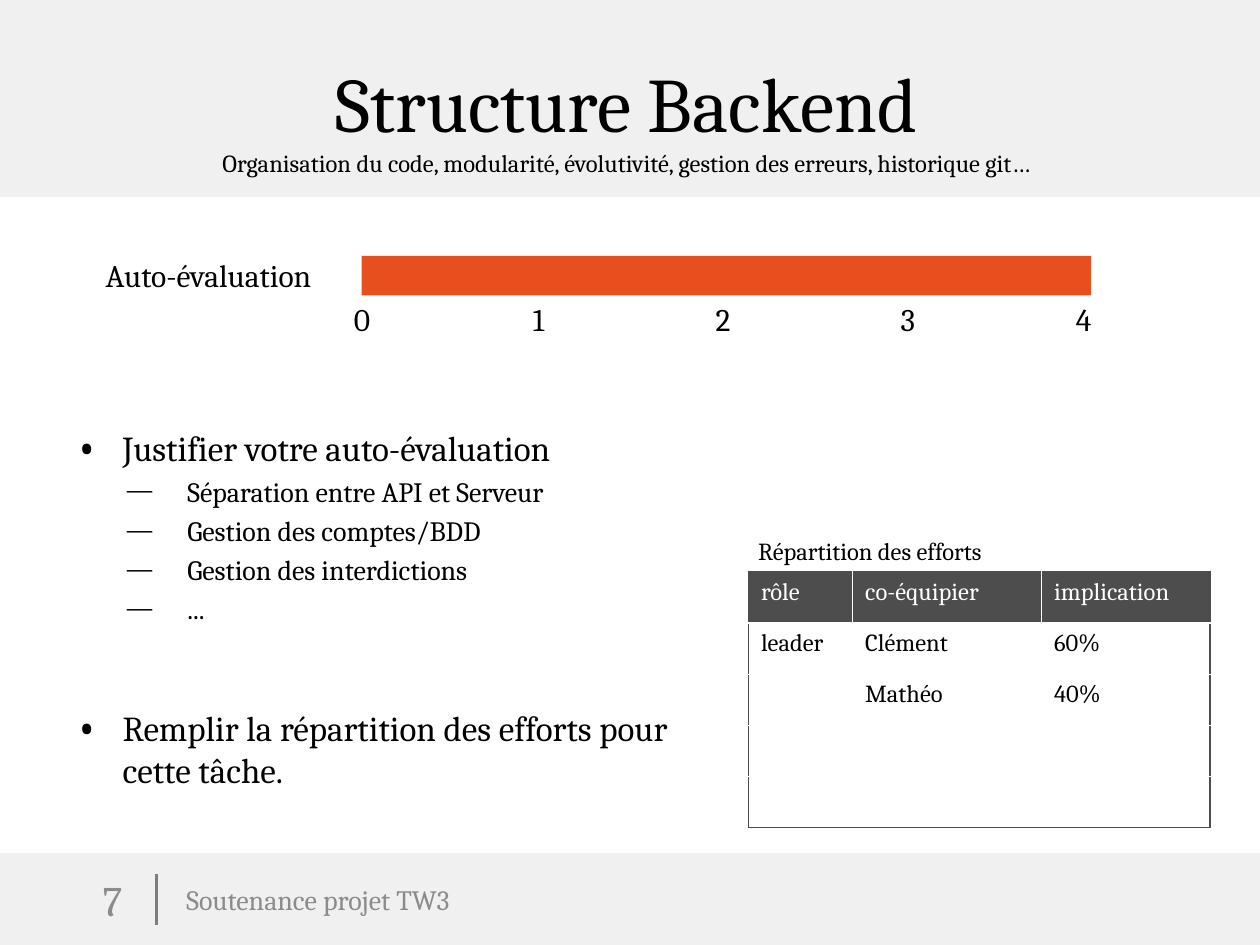
from dataclasses import dataclass

from lxml.etree import SubElement
from pptx import Presentation
from pptx.dml.color import RGBColor
from pptx.enum.shapes import MSO_CONNECTOR, MSO_SHAPE
from pptx.enum.text import MSO_ANCHOR, PP_ALIGN
from pptx.oxml.ns import qn
from pptx.slide import Slide
from pptx.table import _Cell
from pptx.text.text import TextFrame, _Paragraph
from pptx.util import Pt

FONT = "Cambria"
BLACK = RGBColor(0x00, 0x00, 0x00)
WHITE = RGBColor(0xFF, 0xFF, 0xFF)
BAND = RGBColor(0xF0, 0xF0, 0xF0)
ORANGE = RGBColor(0xE7, 0x50, 0x1E)
HEADER = RGBColor(0x4D, 0x4D, 0x4D)
RULE = RGBColor(0x7D, 0x7D, 0x7D)
FOOTER = RGBColor(0x8B, 0x8B, 0x8B)


@dataclass(frozen=True)
class Box:
    left: float
    top: float
    width: float
    height: float

    def lengths(self) -> tuple[Pt, Pt, Pt, Pt]:
        return Pt(self.left), Pt(self.top), Pt(self.width), Pt(self.height)


@dataclass(frozen=True)
class Level:
    size: float
    indent: float
    hanging: float
    bullet: str
    bullet_percent: int


@dataclass(frozen=True)
class Point:
    text: str
    level: Level
    space_before: float


@dataclass(frozen=True)
class Label:
    text: str
    box: Box
    size: float
    color: RGBColor = BLACK
    align: PP_ALIGN = PP_ALIGN.LEFT
    anchor: MSO_ANCHOR = MSO_ANCHOR.TOP


MAIN = Level(20, 27, 27, "•", 150)
DETAIL = Level(16, 64, 35.3, "—", 100)

POINTS = [
    Point("Justifier votre auto-évaluation", MAIN, 24),
    Point("Séparation entre API et Serveur", DETAIL, 3.2),
    Point("Gestion des comptes/BDD", DETAIL, 3.2),
    Point("Gestion des interdictions", DETAIL, 3.2),
    Point("...", DETAIL, 3.2),
    Point("Remplir la répartition des efforts pour cette tâche.", MAIN, 46.5),
]

SCALE_LEFTS = [195.1, 297.4, 401.8, 507.6, 607.7]

LABELS = [
    Label("Auto-évaluation", Box(53.3, 143, 164.2, 28.8), 18),
    *(Label(str(mark), Box(left, 167.8, 22.3, 28.8), 18)
      for mark, left in enumerate(SCALE_LEFTS)),
    Label("Répartition des efforts", Box(426.2, 302.6, 160, 23.8), 14),
    Label("Soutenance projet TW3", Box(99.4, 499.7, 351.4, 28.8), 16, FOOTER,
          anchor=MSO_ANCHOR.MIDDLE),
    Label("7", Box(14.4, 499.7, 62.6, 28.8), 24, FOOTER, PP_ALIGN.RIGHT,
          MSO_ANCHOR.MIDDLE),
]

EFFORTS = [
    ("rôle", "co-équipier", "implication"),
    ("leader", "Clément", "60%"),
    ("", "Mathéo", "40%"),
    ("", "", ""),
    ("", "", ""),
]
EFFORT_WIDTHS = [59.5, 108, 96.2]
EFFORT_ROW = 29.2


def add_run(paragraph: _Paragraph, text: str, size: float, color: RGBColor) -> None:
    run = paragraph.add_run()
    run.text = text
    run.font.name = FONT
    run.font.size = Pt(size)
    run.font.color.rgb = color


def add_frame(slide: Slide, box: Box, anchor: MSO_ANCHOR) -> TextFrame:
    frame = slide.shapes.add_textbox(*box.lengths()).text_frame
    frame.word_wrap = True
    frame.vertical_anchor = anchor
    return frame


def add_label(slide: Slide, label: Label) -> None:
    paragraph = add_frame(slide, label.box, label.anchor).paragraphs[0]
    paragraph.alignment = label.align
    add_run(paragraph, label.text, label.size, label.color)


def add_bar(slide: Slide, box: Box, color: RGBColor, outline: float = 0) -> None:
    bar = slide.shapes.add_shape(MSO_SHAPE.RECTANGLE, *box.lengths())
    bar.shadow.inherit = False
    bar.fill.solid()
    bar.fill.fore_color.rgb = color
    if outline:
        bar.line.color.rgb = color
        bar.line.width = Pt(outline)
    else:
        bar.line.fill.background()


def add_footer_rule(slide: Slide) -> None:
    rule = slide.shapes.add_connector(
        MSO_CONNECTOR.STRAIGHT, Pt(89.3), Pt(499.7), Pt(89.3), Pt(528.5))
    rule.line.color.rgb = RULE
    rule.line.width = Pt(1.5)
    SubElement(rule._element.spPr, qn("a:effectLst"))


def add_title(slide: Slide) -> None:
    frame = add_frame(slide, Box(32.4, 21.6, 651.6, 90), MSO_ANCHOR.MIDDLE)
    paragraph = frame.paragraphs[0]
    paragraph.alignment = PP_ALIGN.CENTER
    paragraph.space_before = Pt(10.6)
    add_run(paragraph, "Structure Backend", 44, BLACK)
    paragraph.add_line_break()
    add_run(paragraph, "Organisation du code, modularité, évolutivité, "
            "gestion des erreurs, historique git…", 14, BLACK)


def add_points(slide: Slide) -> None:
    frame = add_frame(slide, Box(36, 213.1, 380.9, 269.3), MSO_ANCHOR.MIDDLE)
    for index, point in enumerate(POINTS):
        paragraph = frame.add_paragraph() if index else frame.paragraphs[0]
        level = point.level
        paragraph.level = int(level is DETAIL)
        paragraph.space_before = Pt(point.space_before)
        properties = paragraph._p.get_or_add_pPr()
        properties.set("marL", str(Pt(level.indent)))
        properties.set("indent", str(-Pt(level.hanging)))
        SubElement(properties, qn("a:buSzPct"), val=str(level.bullet_percent * 1000))
        SubElement(properties, qn("a:buFont"), typeface=FONT)
        SubElement(properties, qn("a:buChar"), char=level.bullet)
        add_run(paragraph, point.text, level.size, BLACK)


def set_borders(cell: _Cell, outer_sides: dict[str, bool]) -> None:
    properties = cell._tc.get_or_add_tcPr()
    for index, (side, is_outer) in enumerate(outer_sides.items()):
        border = properties.makeelement(qn(f"a:ln{side}"), {"w": str(Pt(0.96))})
        fill = SubElement(border, qn("a:solidFill"))
        SubElement(fill, qn("a:srgbClr"), val=str(HEADER if is_outer else WHITE))
        properties.insert(index, border)


def add_efforts(slide: Slide) -> None:
    rows, columns = len(EFFORTS), len(EFFORT_WIDTHS)
    box = Box(427.7, 326.9, sum(EFFORT_WIDTHS), rows * EFFORT_ROW)
    table = slide.shapes.add_table(rows, columns, *box.lengths()).table
    for column, width in zip(table.columns, EFFORT_WIDTHS):
        column.width = Pt(width)
    for r, texts in enumerate(EFFORTS):
        table.rows[r].height = Pt(EFFORT_ROW)
        for c, text in enumerate(texts):
            cell = table.cell(r, c)
            cell.fill.solid()
            cell.fill.fore_color.rgb = WHITE if r else HEADER
            set_borders(cell, {"L": c == 0, "R": c == columns - 1,
                               "T": r == 0, "B": r == rows - 1})
            if text:
                add_run(cell.text_frame.paragraphs[0], text, 14, BLACK if r else WHITE)


def main() -> None:
    presentation = Presentation()
    presentation.slide_width, presentation.slide_height = Pt(720), Pt(540)
    slide = presentation.slides.add_slide(presentation.slide_layouts[6])
    add_bar(slide, Box(0, 488.2, 720, 51.8), BAND, 2)
    add_footer_rule(slide)
    add_bar(slide, Box(0, 0, 720, 111.6), BAND, 2)
    add_bar(slide, Box(206.6, 146.2, 416.9, 22.6), ORANGE)
    add_title(slide)
    add_points(slide)
    add_efforts(slide)
    for label in LABELS:
        add_label(slide, label)
    presentation.save("out.pptx")


if __name__ == "__main__":
    main()
